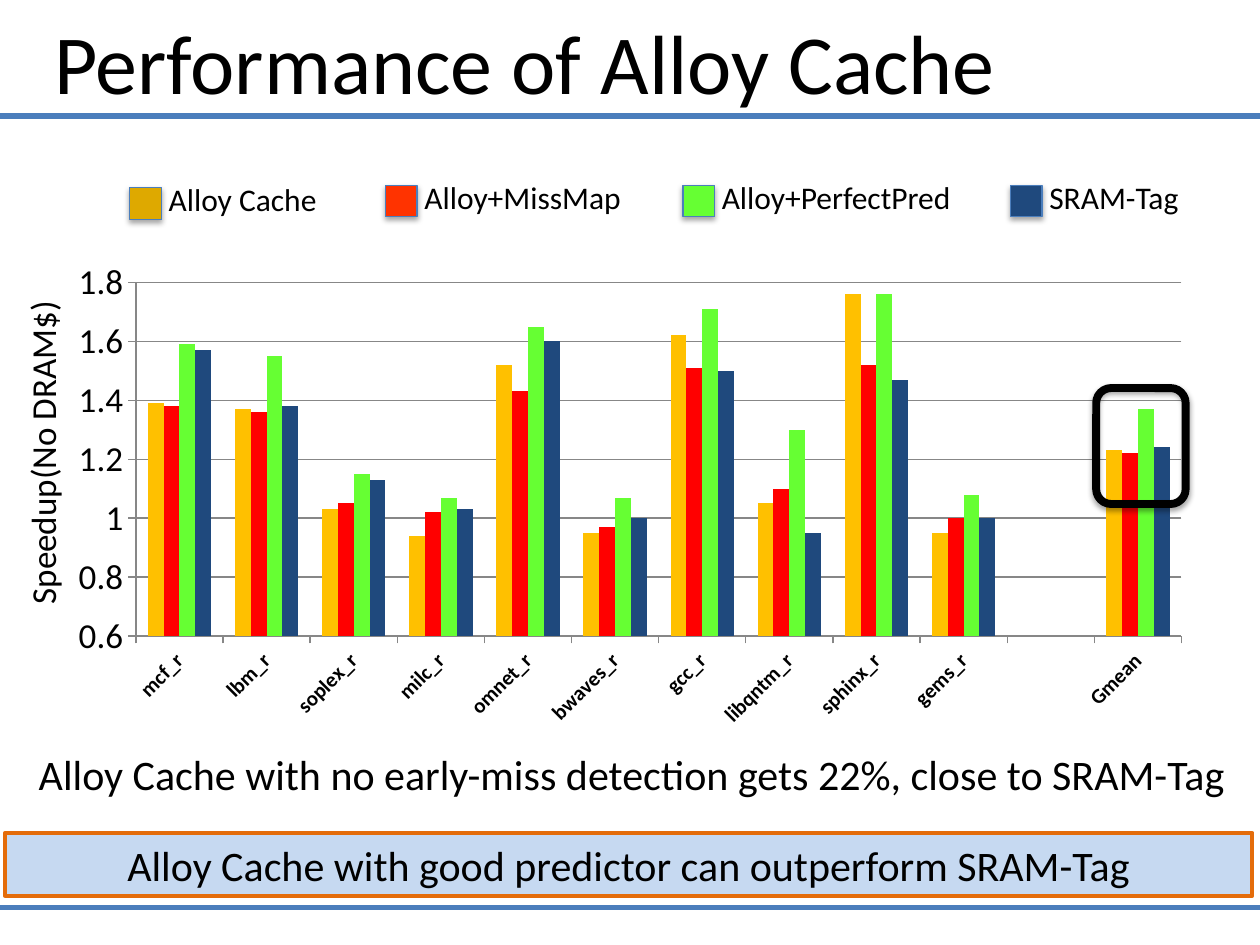
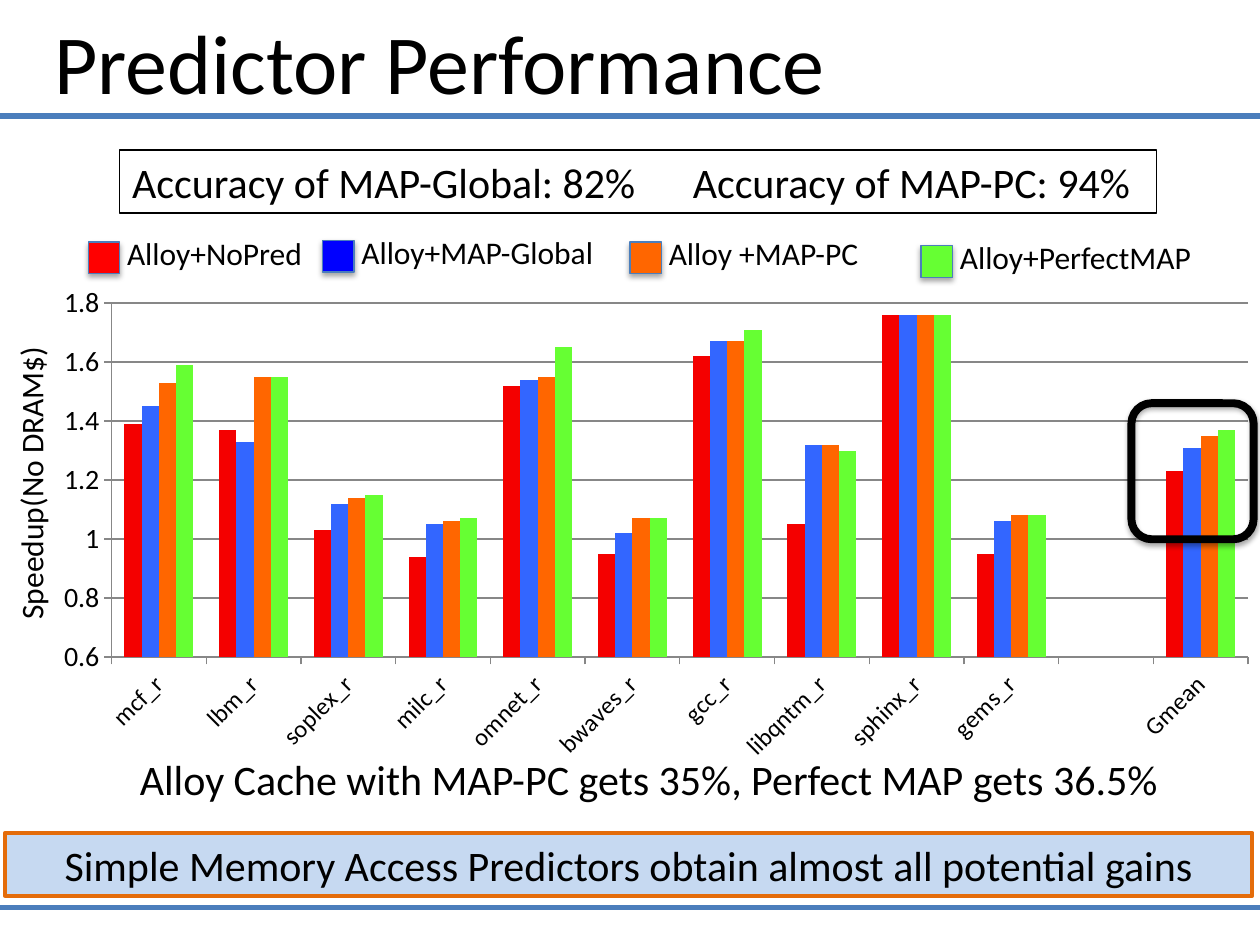
from dataclasses import dataclass
from typing import Any

import pptx
import pptx.chart.data
import pptx.dml.color
import pptx.enum.chart
import pptx.enum.shapes
import pptx.enum.text
import pptx.oxml
import pptx.oxml.ns
import pptx.util
from lxml import etree

Inches = pptx.util.Inches
Pt = pptx.util.Pt
RGBColor = pptx.dml.color.RGBColor
ShapeType = pptx.enum.shapes.MSO_SHAPE
Align = pptx.enum.text.PP_ALIGN
qn = pptx.oxml.ns.qn

# Shared colours and text style
BLACK = RGBColor(0x00, 0x00, 0x00)
RULE_BLUE = RGBColor(0x4B, 0x7E, 0xBC)
BANNER_FILL = RGBColor(0xC6, 0xD9, 0xF1)
BANNER_LINE = RGBColor(0xE4, 0x6C, 0x0A)
AXIS_GRAY = RGBColor(0x87, 0x87, 0x87)
GOLD = RGBColor(0xFF, 0xC0, 0x00)
DARK_GOLD = RGBColor(0xDE, 0xA9, 0x00)
RED = RGBColor(0xFF, 0x00, 0x00)
DEEP_RED = RGBColor(0xF4, 0x00, 0x00)
ORANGE_RED = RGBColor(0xFF, 0x33, 0x00)
ORANGE = RGBColor(0xFF, 0x66, 0x00)
GREEN = RGBColor(0x66, 0xFF, 0x33)
NAVY = RGBColor(0x1F, 0x49, 0x7D)
BLUE = RGBColor(0x00, 0x00, 0xFF)
SOFT_BLUE = RGBColor(0x33, 0x66, 0xFF)

FONT = "Calibri"
SWATCH = 0.25
BENCHMARKS = ["mcf_r", "lbm_r", "soplex_r", "milc_r", "omnet_r", "bwaves_r",
              "gcc_r", "libqntm_r", "sphinx_r", "gems_r", "", "Gmean"]

# Speedups that appear on both slides
NO_PREDICTOR = [1.39, 1.37, 1.03, 0.94, 1.52, 0.95, 1.62, 1.05, 1.76, 0.95, None, 1.23]
PERFECT = [1.59, 1.55, 1.15, 1.07, 1.65, 1.07, 1.71, 1.3, 1.76, 1.08, None, 1.37]


@dataclass(frozen=True)
class Box:
    left: float
    top: float
    width: float
    height: float

    def lengths(self) -> list[int]:
        return [Inches(v) for v in (self.left, self.top, self.width, self.height)]


@dataclass(frozen=True)
class LegendEntry:
    label: str
    color: RGBColor
    left: float
    top: float
    label_width: float


@dataclass(frozen=True)
class Series:
    values: list[float | None]
    color: RGBColor


@dataclass(frozen=True)
class ChartStyle:
    box: Box
    plot: Box  # fractions of the chart area
    category_font: dict[str, Any]
    value_font: dict[str, Any]


@dataclass(frozen=True)
class ResultSlide:
    title: str
    banner: str
    finding: str
    finding_box: Box
    chart: ChartStyle
    series: list[Series]
    legend: list[LegendEntry]
    axis_title_box: Box
    axis_title_size: int
    highlight: Box


def apply_format(target: Any, values: dict[str, Any]) -> None:
    for name, value in values.items():
        setattr(target, name, value)


def write_text(shape: Any, text: str, size: int, align: Any = Align.LEFT,
               wrap: bool = True) -> None:
    apply_format(shape.text_frame, {
        "text": text, "word_wrap": wrap,
        "auto_size": pptx.enum.text.MSO_AUTO_SIZE.NONE,
        "vertical_anchor": pptx.enum.text.MSO_ANCHOR.MIDDLE})
    paragraph = shape.text_frame.paragraphs[0]
    paragraph.alignment = align
    for run in paragraph.runs:
        apply_format(run.font, {"size": Pt(size), "name": FONT})
        run.font.color.rgb = BLACK


def add_text(slide: Any, box: Box, text: str, size: int, align: Any = Align.LEFT,
             wrap: bool = True) -> Any:
    shape = slide.shapes.add_textbox(*box.lengths())
    write_text(shape, text, size, align, wrap)
    return shape


def add_box(slide: Any, box: Box, line: RGBColor, line_width: float,
            fill: RGBColor | None = None, kind: Any = ShapeType.RECTANGLE,
            shadow: bool = False) -> Any:
    shape = slide.shapes.add_shape(kind, *box.lengths())
    if fill is None:
        shape.fill.background()
    else:
        shape.fill.solid()
        shape.fill.fore_color.rgb = fill
    shape.line.color.rgb = line
    shape.line.width = Pt(line_width)
    shape.shadow.inherit = False
    if shadow:
        effects = shape._element.spPr.find(qn("a:effectLst"))
        outer = etree.SubElement(effects, qn("a:outerShdw"), blurRad=str(Pt(3.1)),
                                 dist=str(Pt(1.8)), dir="5400000", rotWithShape="0")
        color = etree.SubElement(outer, qn("a:srgbClr"), val=str(BLACK))
        etree.SubElement(color, qn("a:alpha"), val="35000")
    return shape


def add_rule(slide: Any, top: float) -> None:
    rule = slide.shapes.add_connector(pptx.enum.shapes.MSO_CONNECTOR.STRAIGHT,
                                      Inches(0), Inches(top), Inches(10), Inches(top))
    rule.line.color.rgb = RULE_BLUE
    rule.line.width = Pt(3)
    etree.SubElement(rule._element.spPr, qn("a:effectLst"))


def add_legend(slide: Any, entries: list[LegendEntry]) -> None:
    for entry in entries:
        add_box(slide, Box(entry.left, entry.top, SWATCH, SWATCH), RULE_BLUE, 0.75,
                entry.color, shadow=True)
        add_text(slide, Box(entry.left + 0.21, entry.top - 0.11, entry.label_width, 0.4),
                 entry.label, 18, wrap=False)


def set_plot_area(chart: Any, plot: Box) -> None:
    plot_area = chart._chartSpace.chart.plotArea
    for old_layout in plot_area.findall(qn("c:layout")):
        plot_area.remove(old_layout)
    layout = etree.Element(qn("c:layout"))
    manual = etree.SubElement(layout, qn("c:manualLayout"))
    settings = {"layoutTarget": "inner", "xMode": "edge", "yMode": "edge",
                "x": plot.left, "y": plot.top, "w": plot.width, "h": plot.height}
    for name, value in settings.items():
        etree.SubElement(manual, qn(f"c:{name}"), val=str(value))
    plot_area.insert(0, layout)


def add_speedup_chart(slide: Any, style: ChartStyle, series_list: list[Series]) -> None:
    data = pptx.chart.data.CategoryChartData()
    data.categories = BENCHMARKS
    for number, series in enumerate(series_list, 1):
        data.add_series(f"Series {number}", series.values)
    chart = slide.shapes.add_chart(pptx.enum.chart.XL_CHART_TYPE.COLUMN_CLUSTERED,
                                   *style.box.lengths(), data).chart
    apply_format(chart, {"has_legend": False, "has_title": False})
    apply_format(chart.font, {"size": Pt(10), "name": FONT})
    chart.font.color.rgb = BLACK
    apply_format(chart.plots[0], {"gap_width": 150, "overlap": 0,
                                  "vary_by_categories": False})
    for drawn, series in zip(chart.plots[0].series, series_list):
        drawn.format.fill.solid()
        drawn.format.fill.fore_color.rgb = series.color

    # Axes
    apply_format(chart.value_axis, {"minimum_scale": 0.6, "maximum_scale": 1.8,
                                    "major_unit": 0.2, "has_major_gridlines": True})
    for axis, font in ((chart.category_axis, style.category_font),
                       (chart.value_axis, style.value_font)):
        axis.major_tick_mark = pptx.enum.chart.XL_TICK_MARK.OUTSIDE
        axis.format.line.color.rgb = AXIS_GRAY
        apply_format(axis.tick_labels.font, {"name": FONT, **font})
        axis.tick_labels.font.color.rgb = BLACK
    chart.value_axis.major_gridlines.format.line.color.rgb = AXIS_GRAY
    label_body = chart.category_axis._element.find(qn("c:txPr")).find(qn("a:bodyPr"))
    label_body.set("rot", "-2700000")
    set_plot_area(chart, style.plot)


def add_accuracy_box(slide: Any) -> None:
    shape = add_box(slide, Box(0.95, 1.19, 8.23, 0.5), BLACK, 0.75)
    write_text(shape, "Accuracy of MAP-Global: 82%\tAccuracy of MAP-PC: 94%", 24)
    properties = shape.text_frame.paragraphs[0]._p.get_or_add_pPr()
    tabs = etree.SubElement(properties, qn("a:tabLst"))
    etree.SubElement(tabs, qn("a:tab"), pos=str(Inches(4.45)), algn="l")


def add_result_slide(presentation: Any, content: ResultSlide) -> Any:
    slide = presentation.slides.add_slide(presentation.slide_layouts[5])
    title = slide.shapes.title
    apply_format(title, dict(zip(("left", "top", "width", "height"),
                                 Box(0.33, 0, 9.42, 0.96).lengths())))
    write_text(title, content.title, 48)
    add_speedup_chart(slide, content.chart, content.series)
    for top in (0.92, 7.2):
        add_rule(slide, top)
    banner = add_box(slide, Box(0.04, 6.61, 9.9, 0.5), BANNER_LINE, 2.25, BANNER_FILL)
    write_text(banner, content.banner, 24, Align.CENTER)
    add_legend(slide, content.legend)
    axis_title = add_text(slide, content.axis_title_box, "Speedup(No DRAM$)",
                          content.axis_title_size, wrap=False)
    axis_title.rotation = 270
    add_text(slide, content.finding_box, content.finding, 24, Align.CENTER)
    add_box(slide, content.highlight, BLACK, 4.5, kind=ShapeType.ROUNDED_RECTANGLE,
            shadow=True)
    return slide


ALLOY_CACHE = ResultSlide(
    title="Performance of Alloy Cache",
    banner="Alloy Cache with good predictor can outperform SRAM-Tag",
    finding="Alloy Cache with no early-miss detection gets 22%, close to SRAM-Tag",
    finding_box=Box(0.06, 5.89, 9.91, 0.5),
    chart=ChartStyle(Box(0.44, 1.99, 9.12, 4.19), Box(0.07, 0.06, 0.91, 0.67),
                     {"size": Pt(12), "bold": True}, {"size": Pt(20)}),
    series=[
        Series(NO_PREDICTOR, GOLD),
        Series([1.38, 1.36, 1.05, 1.02, 1.43, 0.97, 1.51, 1.1, 1.52, 1, None, 1.22], RED),
        Series(PERFECT, GREEN),
        Series([1.57, 1.38, 1.13, 1.03, 1.6, 1, 1.5, 0.95, 1.47, 1, None, 1.24], NAVY),
    ],
    legend=[
        LegendEntry("Alloy Cache", DARK_GOLD, 1.03, 1.49, 1.39),
        LegendEntry("Alloy+MissMap", ORANGE_RED, 3.06, 1.47, 1.78),
        LegendEntry("Alloy+PerfectPred", GREEN, 5.42, 1.47, 2.05),
        LegendEntry("SRAM-Tag", NAVY, 8.02, 1.47, 1.26),
    ],
    axis_title_box=Box(-0.97, 3.37, 2.61, 0.44),
    axis_title_size=20,
    highlight=Box(8.7, 3.08, 0.71, 0.92),
)

PREDICTORS = ResultSlide(
    title="Predictor Performance",
    banner="Simple Memory Access Predictors obtain almost all potential gains",
    finding="Alloy Cache with MAP-PC gets 35%, Perfect MAP gets 36.5%",
    finding_box=Box(0.93, 5.93, 8.44, 0.5),
    chart=ChartStyle(Box(0.4, 2.2, 9.7, 4.13), Box(0.05, 0.05, 0.93, 0.68),
                     {"size": Pt(14), "bold": False}, {"size": Pt(16)}),
    series=[
        Series(NO_PREDICTOR, DEEP_RED),
        Series([1.45, 1.33, 1.12, 1.05, 1.54, 1.02, 1.67, 1.32, 1.76, 1.06, None, 1.31],
               SOFT_BLUE),
        Series([1.53, 1.55, 1.14, 1.06, 1.55, 1.07, 1.67, 1.32, 1.76, 1.08, None, 1.35],
               ORANGE),
        Series(PERFECT, GREEN),
    ],
    legend=[
        LegendEntry("Alloy+NoPred", RED, 0.7, 1.92, 1.61),
        LegendEntry("Alloy+MAP-Global", BLUE, 2.56, 1.91, 2.07),
        LegendEntry("Alloy +MAP-PC", ORANGE, 5, 1.92, 1.73),
        LegendEntry("Alloy+PerfectMAP", GREEN, 7.31, 1.95, 2.07),
    ],
    axis_title_box=Box(-0.95, 3.62, 2.39, 0.4),
    axis_title_size=18,
    highlight=Box(8.98, 3.2, 0.97, 1.08),
)


def main() -> None:
    presentation = pptx.Presentation()
    apply_format(presentation, {"slide_width": Inches(10), "slide_height": Inches(7.5)})
    add_result_slide(presentation, ALLOY_CACHE)
    add_accuracy_box(add_result_slide(presentation, PREDICTORS))
    presentation.save("out.pptx")


if __name__ == "__main__":
    main()
